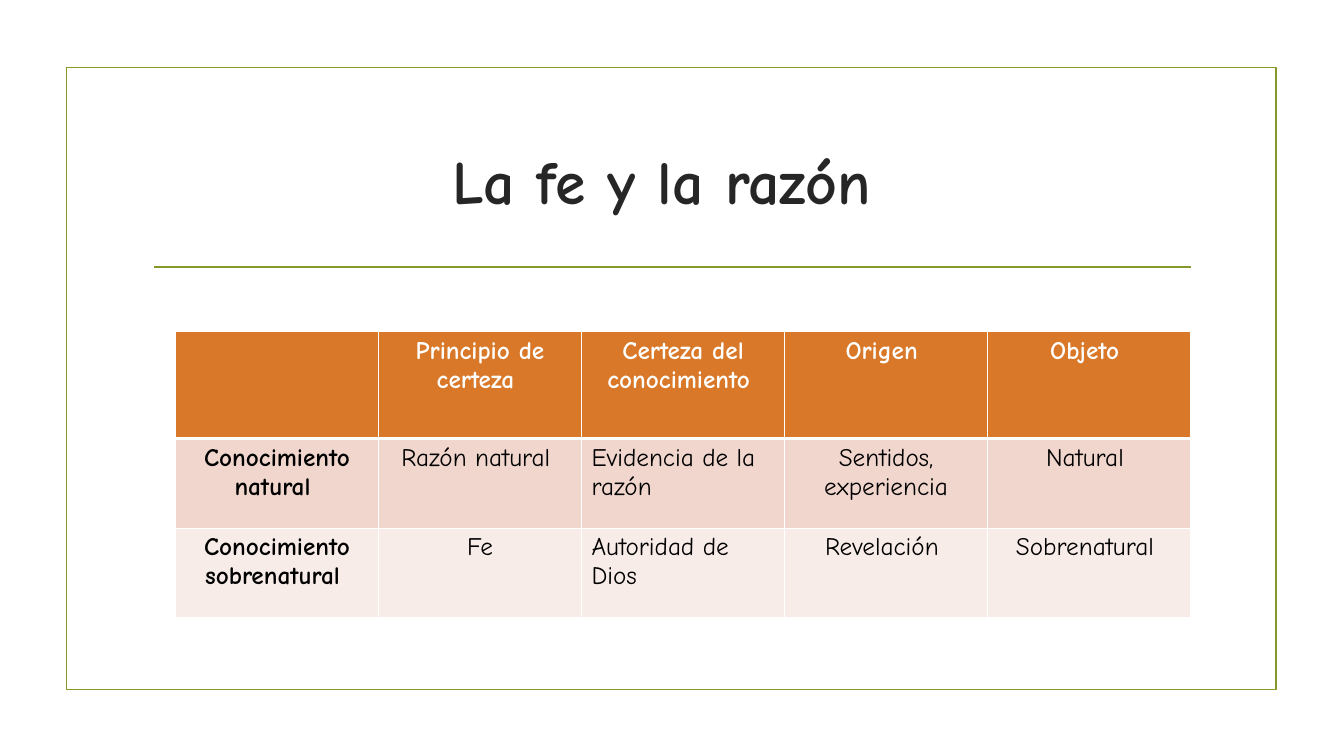
"""Builds a slide with a table comparing natural and supernatural knowledge."""
from dataclasses import dataclass

from lxml.etree import SubElement
from pptx import Presentation
from pptx.dml.color import RGBColor
from pptx.enum.shapes import MSO_CONNECTOR as Connector, MSO_SHAPE as Shape
from pptx.enum.text import MSO_ANCHOR as Anchor, MSO_AUTO_SIZE as AutoSize, PP_ALIGN as Align
from pptx.oxml.ns import qn
from pptx.util import Inches, Pt

FONT = "Comic Neue"
WHITE = RGBColor(0xFF, 0xFF, 0xFF)
BLACK = RGBColor(0, 0, 0)
CHARCOAL = RGBColor(0x26, 0x26, 0x26)
OLIVE = RGBColor(0x83, 0x99, 0x2A)
ORANGE = RGBColor(0xD9, 0x78, 0x28)
ROSE = RGBColor(0xF1, 0xD6, 0xCD)
PALE_ROSE = RGBColor(0xF8, 0xEC, 0xE8)
LEFT_ALIGNED_COLUMN = 2


@dataclass(frozen=True)
class TableRow:
    texts: tuple[str, ...]
    fill: RGBColor
    color: RGBColor
    height: float
    top_border: float = 1
    bottom_border: float = 1
    header: bool = False


ROWS = (
    TableRow(("", "Principio de certeza ", "Certeza del conocimiento ", "Origen ", "Objeto "),
             ORANGE, WHITE, 1.06, bottom_border=3, header=True),
    TableRow(("Conocimiento natural ", "Razón natural ", "Evidencia de la razón",
              "Sentidos, experiencia", "Natural "),
             ROSE, BLACK, 0.89, top_border=3),
    TableRow(("Conocimiento sobrenatural ", "Fe", "Autoridad de Dios",
              "Revelación ", "Sobrenatural "),
             PALE_ROSE, BLACK, 0.89),
)


def write(para, text: str, size: float, color: RGBColor, bold: bool, align) -> None:
    para.alignment = align
    span = para.add_run()
    span.text = text
    span.font.name = FONT
    span.font.size = Pt(size)
    span.font.bold = bold
    span.font.color.rgb = color


def add_frame(page) -> None:
    frame = page.shapes.add_shape(Shape.RECTANGLE, Inches(0.66), Inches(0.67),
                                  Inches(12), Inches(6.17))
    frame.shadow.inherit = False
    frame.fill.background()
    rule = page.shapes.add_connector(Connector.STRAIGHT, Inches(1.53), Inches(2.65),
                                     Inches(11.81), Inches(2.65))
    SubElement(rule.element.spPr, qn("a:effectLst"))
    for outlined in (frame, rule):
        outlined.line.color.rgb = OLIVE
        outlined.line.width = Pt(1.25)


def add_title(page) -> None:
    title = page.shapes.title
    title.left, title.top = Inches(1.42), Inches(1.07)
    title.width, title.height = Inches(10.5), Inches(1.43)
    box = title.text_frame
    box.word_wrap = True
    box.auto_size = AutoSize.NONE
    box.vertical_anchor = Anchor.MIDDLE
    write(box.paragraphs[0], "La fe y la razón ", 44, CHARCOAL, True, Align.CENTER)
    page.shapes.element.append(title.element)


def add_borders(cell, row: TableRow) -> None:
    properties = cell._tc.get_or_add_tcPr()
    widths = {"L": 1, "R": 1, "T": row.top_border, "B": row.bottom_border}
    for side, width in widths.items():
        border = SubElement(properties, qn(f"a:ln{side}"), w=str(Pt(width)))
        fill = SubElement(border, qn("a:solidFill"))
        SubElement(fill, qn("a:srgbClr"), val=str(WHITE))


def add_comparison(page) -> None:
    width = Inches(10.07)
    columns = len(ROWS[0].texts)
    height = Inches(sum(row.height for row in ROWS))
    table = page.shapes.add_table(len(ROWS), columns, Inches(1.74), Inches(3.29),
                                  width, height).table
    for column in table.columns:
        column.width = width // columns
    for row_index, row in enumerate(ROWS):
        table.rows[row_index].height = Inches(row.height)
        for column_index, text in enumerate(row.texts):
            cell = table.cell(row_index, column_index)
            add_borders(cell, row)
            cell.fill.solid()
            cell.fill.fore_color.rgb = row.fill
            if text:
                bold = row.header or column_index == 0
                left = column_index == LEFT_ALIGNED_COLUMN and not row.header
                write(cell.text_frame.paragraphs[0], text, 18, row.color, bold,
                      Align.LEFT if left else Align.CENTER)


def main() -> None:
    deck = Presentation()
    deck.slide_width, deck.slide_height = Inches(13.33), Inches(7.5)
    page = deck.slides.add_slide(deck.slide_layouts.get_by_name("Title Only"))
    page.background.fill.solid()
    page.background.fill.fore_color.rgb = WHITE
    add_frame(page)
    add_title(page)
    add_comparison(page)
    deck.save("out.pptx")


if __name__ == "__main__":
    main()
